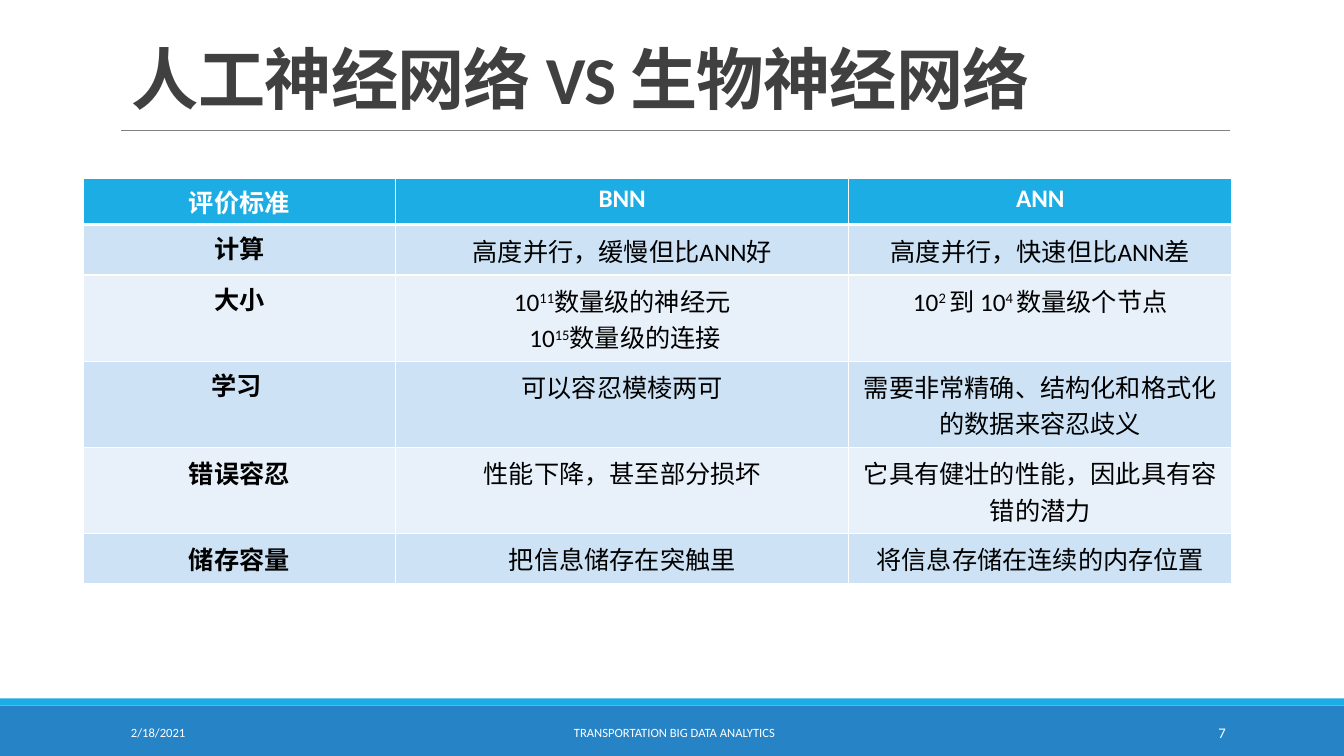
from lxml import etree
from pptx import Presentation
from pptx import util as u
from pptx.dml.color import RGBColor
from pptx.enum import shapes, text
from pptx.oxml.ns import qn

WHITE = RGBColor(0xFF, 0xFF, 0xFF)
BLACK = RGBColor(0, 0, 0)
DARK = RGBColor(0x40, 0x40, 0x40)
GREY = RGBColor(0x80, 0x80, 0x80)
BLUE = RGBColor(0x26, 0x83, 0xC6)
CYAN = RGBColor(0x1C, 0xAD, 0xE4)
BANDS = [RGBColor(0xE8, 0xF1, 0xFA), RGBColor(0xCD, 0xE3, 0xF5)]
LEFT, MID, RIGHT = text.PP_ALIGN.LEFT, text.PP_ALIGN.CENTER, text.PP_ALIGN.RIGHT

deck = Presentation()
deck.slide_width, deck.slide_height = u.Cm(33.87), u.Cm(19.05)
slide = deck.slides.add_slide(deck.slide_layouts[6])


def add_run(para, words, size, color, bold=False):
    run = para.add_run()
    run.text = words
    font = run.font
    font.name, font.size, font.bold = "Calibri", u.Pt(size), bold
    font.color.rgb = color
    return run


def add_box(x, y, w, h, words, size, color, align, anchor, bold=False):
    box = slide.shapes.add_textbox(u.Cm(x), u.Cm(y), u.Cm(w), u.Cm(h))
    frame = box.text_frame
    frame.word_wrap = True
    frame.vertical_anchor = anchor
    para = frame.paragraphs[0]
    para.alignment = align
    return para, add_run(para, words, size, color, bold)


for top, high, color in [(17.78, 1.27, BLUE), (17.6, 0.18, CYAN)]:
    bar = slide.shapes.add_shape(
        shapes.MSO_SHAPE.RECTANGLE, 0, u.Cm(top), deck.slide_width, u.Cm(high))
    bar.shadow.inherit = False
    bar.fill.solid()
    bar.fill.fore_color.rgb = color
    bar.line.fill.background()

rule = slide.shapes.add_connector(
    shapes.MSO_CONNECTOR.STRAIGHT, u.Cm(3.05), u.Cm(3.28), u.Cm(31), u.Cm(3.28))
rule.line.color.rgb = GREY
rule.line.width = u.Pt(0.5)
etree.SubElement(rule._element.spPr, qn("a:effectLst"))

para, run = add_box(3.07, 0.33, 27.94, 2.77, "人工神经网络 VS 生物神经网络",
                    48, DARK, LEFT, text.MSO_ANCHOR.BOTTOM, True)
para.line_spacing = 0.85
run._r.get_or_add_rPr().set("spc", "-50")

for x, w, words, size, align in [
    (3.05, 6.86, "2/18/2021", 9, LEFT),
    (10.3, 13.39, "TRANSPORTATION BIG DATA ANALYTICS", 9, MID),
    (27.51, 3.63, "7", 10.5, RIGHT),
]:
    add_box(x, 17.95, w, 1.02, words, size, WHITE, align, text.MSO_ANCHOR.MIDDLE)

gap = chr(160)
rows = [
    (1.16, ["评价标准", "BNN", "ANN"]),
    (1.27, ["计算", "高度并行，缓慢但比ANN好", "高度并行，快速但比ANN差"]),
    (2.17, ["大小", "10^11^数量级的神经元\n 10^15^数量级的连接",
            f"10^2{gap}^到 10^4{gap}^数量级个节点"]),
    (2.17, ["学习 ", "可以容忍模棱两可", "需要非常精确、结构化和格式化的数据来容忍歧义"]),
    (2.17, ["错误容忍", "性能下降，甚至部分损坏", "它具有健壮的性能，因此具有容错的潜力"]),
    (1.27, ["储存容量", "把信息储存在突触里", "将信息存储在连续的内存位置"]),
]
wide = [7.88, 11.42, 9.65]
total = sum(high for high, row in rows)
grid = slide.shapes.add_table(
    len(rows), len(wide), u.Cm(2.09), u.Cm(4.5), u.Cm(sum(wide)), u.Cm(total)).table
for col, w in zip(grid.columns, wide):
    col.width = u.Cm(w)

for r, (high, row) in enumerate(rows):
    grid.rows[r].height = u.Cm(high)
    for c, words in enumerate(row):
        cell = grid.cell(r, c)
        props = cell._tc.get_or_add_tcPr()
        for side in "LRTB":
            thick = (r == 0 and side == "B") or (r == 1 and side == "T")
            edge = etree.SubElement(
                props, qn("a:ln" + side), w=str(u.Pt(3 if thick else 1)))
            fill = etree.SubElement(edge, qn("a:solidFill"))
            etree.SubElement(fill, qn("a:srgbClr"), val=str(WHITE))
        cell.fill.solid()
        cell.fill.fore_color.rgb = BANDS[r % 2] if r else CYAN
        if r > 3 or (r and c):
            cell.margin_left = cell.margin_right = u.Cm(0.18)
            cell.margin_top = cell.margin_bottom = u.Cm(0.18)
        frame = cell.text_frame
        for p, line in enumerate(words.split("\n")):
            para = frame.add_paragraph() if p else frame.paragraphs[0]
            para.alignment = MID
            for n, part in enumerate(line.split("^")):
                run = add_run(para, part, 18, BLACK if r else WHITE, r == 0 or c == 0)
                if n % 2:
                    run._r.get_or_add_rPr().set("baseline", "30000")

deck.save("out.pptx")
